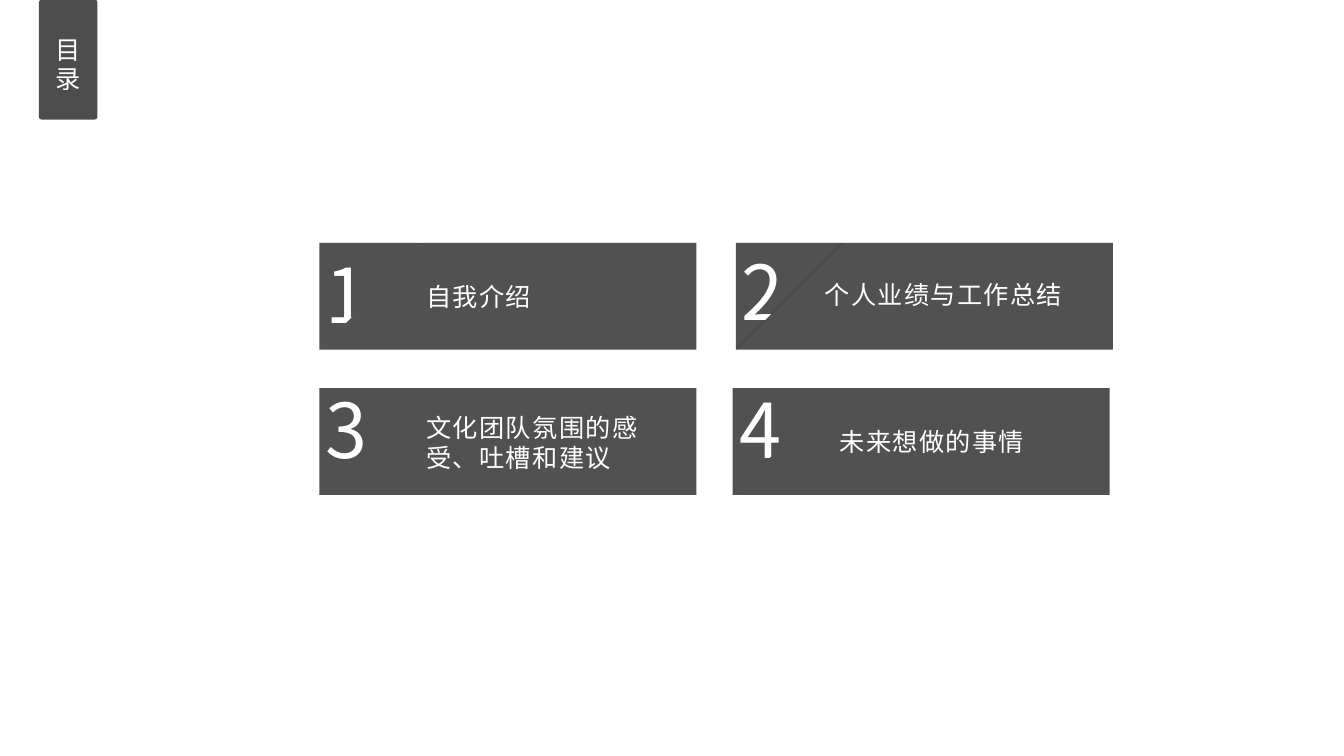
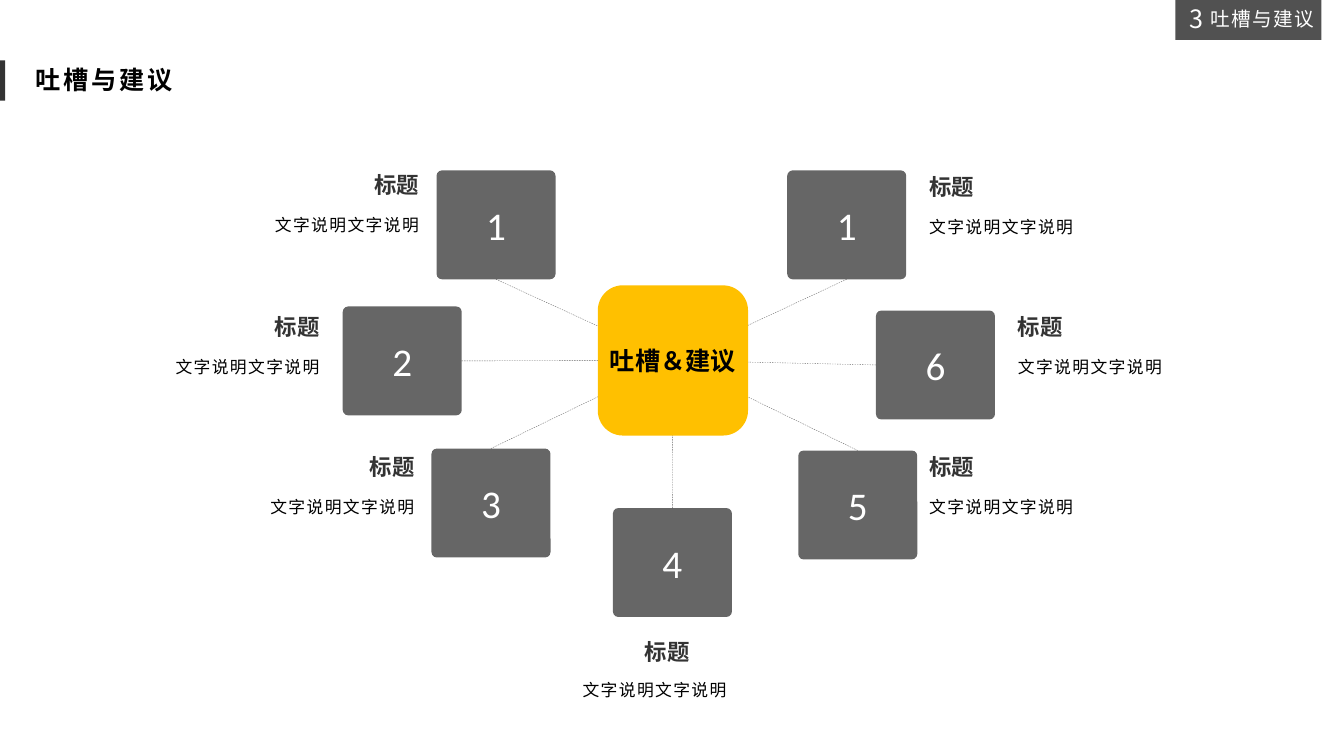
from lxml.etree import SubElement
from pptx import Presentation
from pptx.dml.color import RGBColor
from pptx.enum.dml import MSO_LINE
from pptx.enum.shapes import MSO_CONNECTOR, MSO_SHAPE
from pptx.enum.text import MSO_ANCHOR, MSO_AUTO_SIZE, PP_ALIGN
from pptx.oxml.ns import qn
from pptx.util import Pt

CJK = "Noto Sans CJK SC"
BLACK, WHITE, DARK, HEAD, GOLD = "000000", "FFFFFF", "262626", "333333", "FFC000"
LEFT, CENTER, RIGHT = PP_ALIGN.LEFT, PP_ALIGN.CENTER, PP_ALIGN.RIGHT
TOP, MIDDLE = MSO_ANCHOR.TOP, MSO_ANCHOR.MIDDLE

CARD_W, CARD_H = 269.3, 76.3
AGENDA = [
    ("1", ["自我介绍"], (228.2, 173.5), (225.4, 173.5, 42.5), (297.4, 193, 115.2, 36.7)),
    ("2", ["个人业绩与工作总结"], (525.6, 173.5), (522.7, 171.4, 56.2), (581.8, 192.2, 236.2, 36.7)),
    ("3", ["文化团队氛围的感", "受、吐槽和建议"], (228.2, 277.2), (225.4, 270, 54), (297.4, 290.2, 167.8, 51.1)),
    ("4", ["未来想做的事情"], (523.4, 277.2), (521.3, 270, 52.6), (592.6, 301, 149, 28.8)),
]

TILE_W, TILE_H = 85, 77.8
HEAD_W, BODY_W = 46.8, 156
HUB = (427, 203.8, 107.3, 107.3)
SIDE_TOP, SIDE_LEFT, SIDE_BOTTOM, SIDE_RIGHT = range(4)
TOPICS = [
    ("1", (311.8, 121.7), SIDE_BOTTOM, (259.6, 118.8), RIGHT),
    ("1", (562.3, 121.7), SIDE_BOTTOM, (656.6, 119.9), LEFT),
    ("2", (244.8, 218.9), SIDE_RIGHT, (188.6, 220.3), RIGHT),
    ("3", (308.2, 320.4), SIDE_TOP, (256.3, 320.4), RIGHT),
    ("4", (437.8, 362.9), SIDE_TOP, (453.6, 452.2), CENTER),
    ("5", (570.2, 321.8), SIDE_TOP, (656.6, 320.4), LEFT),
    ("6", (625.7, 221.8), SIDE_LEFT, (720, 220.3), LEFT),
]
BODY_PLACE = {RIGHT: (HEAD_W - BODY_W, 28.3), LEFT: (0, 28.3), CENTER: (-44.6, 26.6)}


def rgb(value):
    return RGBColor.from_string(value)


def set_alpha(sp, percent):
    for color in sp._element.spPr.iter(qn("a:srgbClr")):
        SubElement(color, qn("a:alpha"), val=str(percent * 1000))


def paint(sp, color, alpha=100):
    sp.shadow.inherit = False
    sp.fill.solid()
    sp.fill.fore_color.rgb = rgb(color)
    sp.line.fill.background()
    if alpha < 100:
        set_alpha(sp, alpha)
    return sp


def add_block(slide, kind, box, color, alpha=100, radius=None):
    sp = slide.shapes.add_shape(kind, *map(Pt, box))
    if radius is not None:
        sp.adjustments[0] = radius
    return paint(sp, color, alpha)


def write(sp, lines, size, color=WHITE, bold=False, spc=0, align=LEFT, anchor=TOP,
          wrap=False, grow=True, font=CJK, leading=None):
    tf = sp.text_frame
    tf.word_wrap = wrap
    tf.auto_size = MSO_AUTO_SIZE.SHAPE_TO_FIT_TEXT if grow else MSO_AUTO_SIZE.NONE
    tf.vertical_anchor = anchor
    for i, line in enumerate(lines):
        p = tf.add_paragraph() if i else tf.paragraphs[0]
        p.text = line
        p.alignment = align
        if leading:
            p.line_spacing = leading
        f = p.font
        f.size, f.bold, f.name = Pt(size), bold, font
        f.color.rgb = rgb(color)
        f._rPr.set("spc", str(spc * 100))
        SubElement(f._rPr, qn("a:ea"), typeface=font)


def add_text(slide, box, lines, size, **style):
    sp = slide.shapes.add_textbox(*map(Pt, box))
    write(sp, lines, size, **style)


def add_title(slide, box, text, **style):
    sp = slide.shapes.title
    sp.left, sp.top, sp.width, sp.height = map(Pt, box)
    write(sp, [text], 18, **style)
    slide.shapes._spTree.append(sp._element)
    return sp


def add_card(slide, number, lines, corner, number_place, text_box):
    x, y = corner
    nx, ny, nw = number_place
    fold = add_block(slide, MSO_SHAPE.RIGHT_TRIANGLE, (x, y, CARD_H, CARD_H), DARK, 80)
    fold.rotation = 90
    add_text(slide, (nx, ny, nw, 91.4), [number], 54)
    right, bottom = x + CARD_W, y + CARD_H
    outline = [(right, y), (right, bottom), (x, bottom)]
    fb = slide.shapes.build_freeform(Pt(x + CARD_H), Pt(y))
    fb.add_line_segments([(Pt(a), Pt(b)) for a, b in outline], close=True)
    paint(fb.convert_to_shape(), DARK, 80)
    add_text(slide, text_box, lines, 18, spc=1, anchor=MIDDLE)


def add_spoke(slide, tile, side):
    x, y, w, h = HUB
    hub_x, hub_y = Pt(x + w / 2), Pt(y + h / 2)
    line = slide.shapes.add_connector(MSO_CONNECTOR.STRAIGHT, hub_x, hub_y, hub_x, hub_y)
    line.begin_connect(tile, side)
    line.line.width = Pt(0.25)
    line.line.color.rgb = rgb(BLACK)
    line.line.dash_style = MSO_LINE.DASH
    set_alpha(line, 60)
    SubElement(line._element.spPr, qn("a:effectLst"))


def build_agenda(slide):
    add_block(slide, MSO_SHAPE.ROUNDED_RECTANGLE, (27.8, -0.3, 41.8, 85.7), DARK, 82, 0.05)
    title = add_title(slide, (30.2, 23, 36, 49.7), "目录", spc=3)
    title.text_frame._txBody.bodyPr.set("vert", "eaVert")
    for card in AGENDA:
        add_card(slide, *card)


def build_topics(slide):
    add_title(slide, (18, 42.5, 115.2, 28.8), "吐槽与建议", color=BLACK, bold=True, spc=2)
    add_block(slide, MSO_SHAPE.RECTANGLE, (0, 43.2, 3.6, 28.8), BLACK, 80)
    add_block(slide, MSO_SHAPE.RECTANGLE, (839.5, -1.4, 104.4, 30), DARK, 80)
    add_text(slide, (857.5, 1.4, 90, 24.5), ["吐槽与建议"], 14, spc=1, anchor=MIDDLE)
    add_text(slide, (842.4, -1.4, 23, 28.8), ["3"], 18)

    for number, corner, side, (x, y), align in TOPICS:
        tile = add_block(slide, MSO_SHAPE.ROUNDED_RECTANGLE, (*corner, TILE_W, TILE_H), BLACK, 60, 0.05)
        write(tile, [number], 28, spc=2, align=CENTER, anchor=MIDDLE, wrap=True,
              grow=False, font="Calibri")
        add_spoke(slide, tile, side)
        dx, dy = BODY_PLACE[align]
        text_align = RIGHT if align == RIGHT else LEFT
        add_text(slide, (x, y, HEAD_W, 26.6), ["标题"], 16, color=HEAD, bold=True, align=text_align)
        add_text(slide, (x + dx, y + dy, BODY_W, 23), ["文字说明文字说明"], 12, color=BLACK,
                 spc=1, align=text_align, wrap=True, leading=1.2)

    hub = add_block(slide, MSO_SHAPE.ROUNDED_RECTANGLE, HUB, GOLD)
    write(hub, ["吐槽＆建议"], 18, color=BLACK, bold=True, align=CENTER, anchor=MIDDLE, grow=False)


def main():
    prs = Presentation()
    prs.slide_width, prs.slide_height = Pt(960), Pt(540)
    for build in (build_agenda, build_topics):
        build(prs.slides.add_slide(prs.slide_layouts[5]))
    prs.save("out.pptx")


if __name__ == "__main__":
    main()
